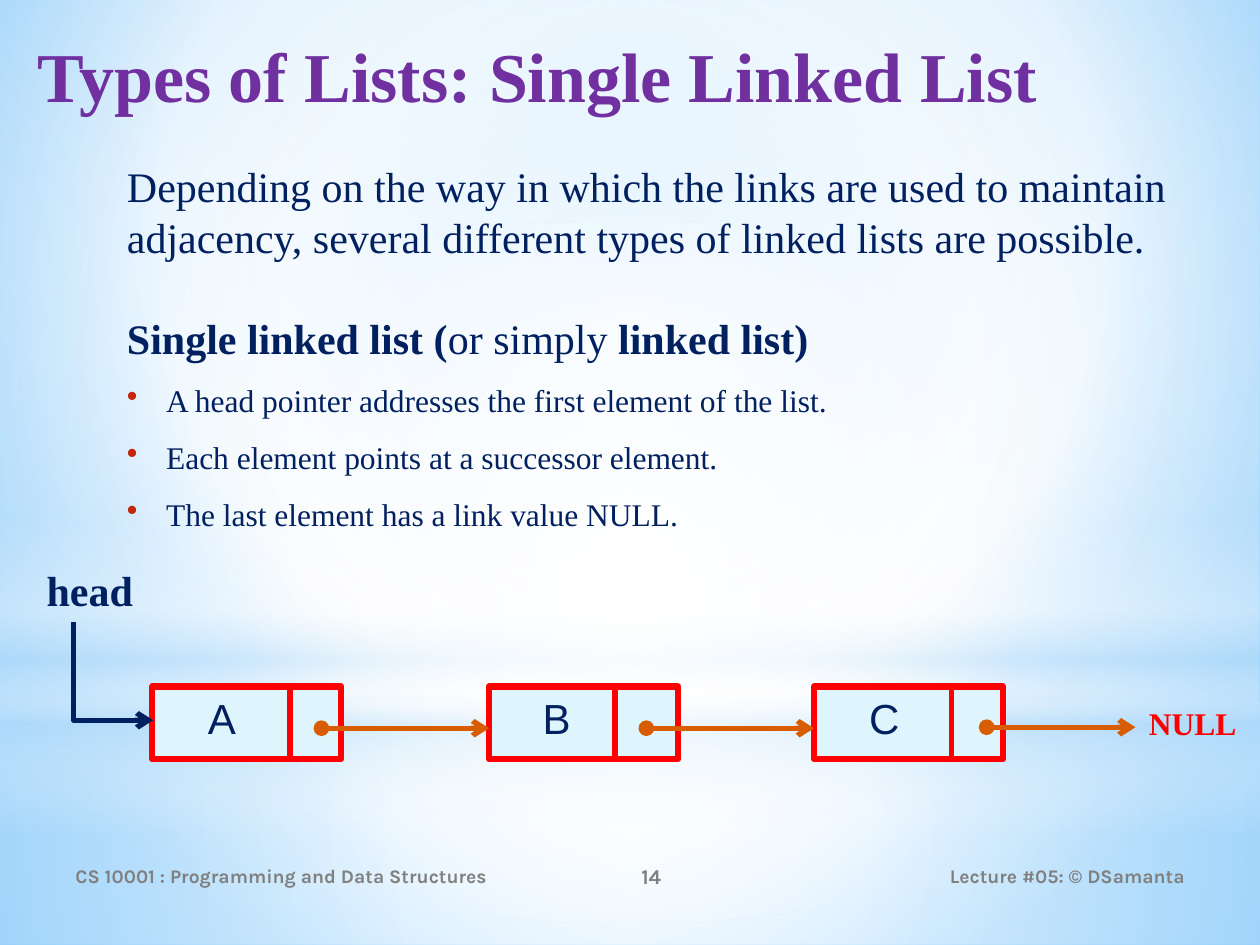
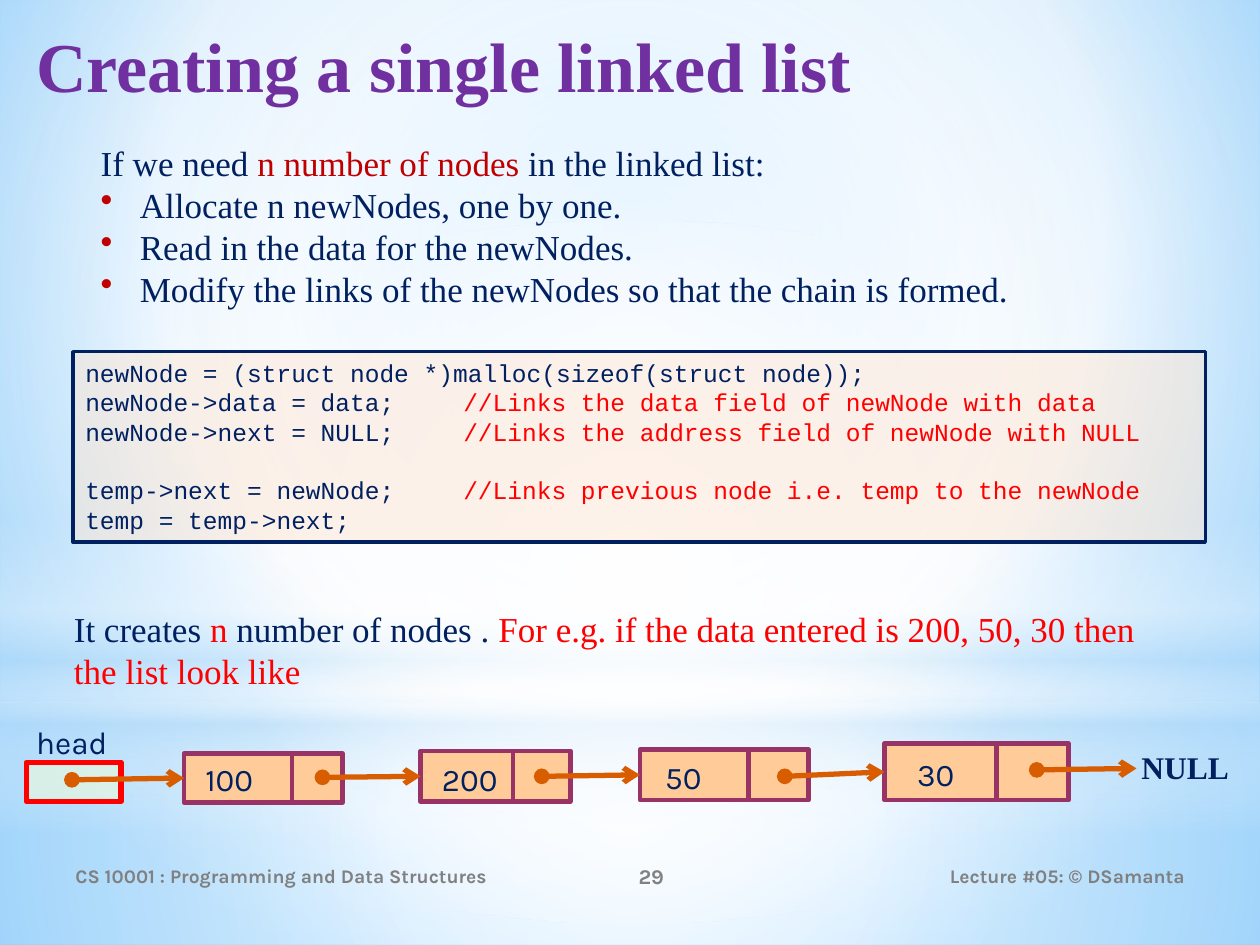
from dataclasses import dataclass
from typing import NamedTuple, Optional

from lxml import etree
from pptx import Presentation
from pptx import util as u
from pptx.dml.color import RGBColor
from pptx.enum import shapes, text
from pptx.oxml import ns


@dataclass(frozen=True)
class Theme:
    navy: str = "002060"
    purple: str = "7030A0"
    red: str = "FF0000"
    dark_red: str = "C00000"
    bullet_red: str = "C3260C"
    orange: str = "D85C00"
    grey: str = "808080"
    plum: str = "993366"
    ice: str = "DFF5FD"
    peach: str = "FFCC99"
    code_fill: str = "FFE6D3"
    head_fill: str = "EDFBDC"
    white: str = "FFFFFF"
    sky: str = "B4DCFA"
    serif: str = "Times New Roman"
    sans: str = "Arial"
    footer_font: str = "Karla"
    mono: str = "Courier New"
    title_size: int = 40
    large: int = 24
    medium: int = 20
    small: int = 18
    code_size: int = 14
    number_size: int = 12
    footer_size: int = 11


THEME = Theme()


class Box(NamedTuple):
    """A rectangle in centimetres."""
    left: float
    top: float
    width: float
    height: float

    def lengths(self) -> list:
        return [u.Cm(value) for value in self]


class Piece(NamedTuple):
    text: str
    color: str = THEME.navy
    bold: bool = False


class Stop(NamedTuple):
    position: int
    color: str
    opacity: int = 100


@dataclass(frozen=True)
class Line:
    pieces: tuple
    size: int
    font: str = THEME.serif
    bullet: Optional[str] = None
    spacing: Optional[float] = None
    before: float = 0
    tab: Optional[float] = None
    align: text.PP_ALIGN = text.PP_ALIGN.LEFT


@dataclass(frozen=True)
class Layer:
    """A translucent backdrop shape; it fades from its centre unless linear."""
    kind: shapes.MSO_SHAPE
    box: Box
    stops: tuple
    linear: bool = False


@dataclass(frozen=True)
class Node:
    label: str
    box: Box
    divider: float
    label_left: float
    label_top: float


@dataclass(frozen=True)
class NodeStyle:
    fill: str
    outline: str
    outline_width: float
    divider_width: float
    font: str
    size: int


RECTANGLE = shapes.MSO_SHAPE.RECTANGLE
BACKGROUND = (Stop(0, "9ED5FF"), Stop(60, THEME.white), Stop(100, "5BB9FF"))
LAYERS = (
    Layer(RECTANGLE, Box(0, 14.17, 25.4, 4.88),
          (Stop(0, THEME.white, 91), Stop(37, THEME.white, 76), Stop(100, THEME.sky, 79))),
    Layer(RECTANGLE, Box(0, 0, 25.4, 14.17),
          (Stop(0, THEME.white, 89), Stop(48, THEME.white, 62), Stop(100, THEME.sky, 79))),
    Layer(RECTANGLE, Box(0, 10.46, 25.4, 6.35),
          (Stop(0, THEME.white, 0), Stop(29, THEME.white, 30), Stop(45, THEME.sky, 40),
           Stop(55, THEME.white, 26), Stop(65, THEME.sky, 60), Stop(100, THEME.white, 0)), True),
    Layer(shapes.MSO_SHAPE.OVAL, Box(0, 4.45, 25.4, 14.17),
          (Stop(0, THEME.white), Stop(56, THEME.white, 0))),
)
RED_NODE = NodeStyle(THEME.ice, THEME.red, 3.5, 3.25, THEME.sans, THEME.large)
PEACH_NODE = NodeStyle(THEME.peach, THEME.plum, 2.5, 2.5, THEME.footer_font, THEME.small)


def add_element(parent, tag: str, **attributes):
    values = {name: str(value) for name, value in attributes.items()}
    return etree.SubElement(parent, ns.qn(tag), values)


def set_opacity(color_element, percent: int) -> None:
    add_element(color_element, "a:alpha", val=percent * 1000)


def replace_with_gradient(solid_fill, stops: tuple, centre=(50, 50, 50, 50), linear=False) -> None:
    gradient = etree.Element(ns.qn("a:gradFill"), rotWithShape="1")
    stop_list = add_element(gradient, "a:gsLst")
    for stop in stops:
        entry = add_element(stop_list, "a:gs", pos=stop.position * 1000)
        set_opacity(add_element(entry, "a:srgbClr", val=stop.color), stop.opacity)
    if linear:
        add_element(gradient, "a:lin", ang=90 * 60000, scaled=0)
    else:
        path = add_element(gradient, "a:path", path="circle")
        sides = {side: value * 1000 for side, value in zip("ltrb", centre)}
        add_element(path, "a:fillToRect", **sides)
    solid_fill.getparent().replace(solid_fill, gradient)


def add_filled_shape(slide, kind, box: Box, fill: str, outline=None, width=0.0, opacity=100):
    shape = slide.shapes.add_shape(kind, *box.lengths())
    shape.shadow.inherit = False
    shape.fill.solid()
    shape.fill.fore_color.rgb = RGBColor.from_string(fill)
    if opacity < 100:
        set_opacity(shape.element.xpath("./p:spPr/a:solidFill/a:srgbClr")[0], opacity)
    if outline:
        shape.line.color.rgb = RGBColor.from_string(outline)
        shape.line.width = u.Pt(width)
    else:
        shape.line.fill.background()
    return shape


def build_backdrop(slide) -> None:
    """Draw the backdrop once and move it to the master, behind its placeholders."""
    master = slide.slide_layout.slide_master
    master.background.fill.solid()
    solid_fill = master.element.xpath("./p:cSld/p:bg//a:solidFill")[0]
    replace_with_gradient(solid_fill, BACKGROUND, (20, 10, 20, 60))
    for index, layer in enumerate(LAYERS):
        shape = add_filled_shape(slide, layer.kind, layer.box, THEME.white)
        solid_fill = shape.element.xpath("./p:spPr/a:solidFill")[0]
        replace_with_gradient(solid_fill, layer.stops, linear=layer.linear)
        shape.element.xpath(".//p:cNvPr")[0].set("id", str(100 + index))
        master.shapes.element.insert(2 + index, shape.element)


def write_lines(frame, lines: tuple, anchor=text.MSO_ANCHOR.TOP) -> None:
    frame.word_wrap = True
    frame.auto_size = text.MSO_AUTO_SIZE.NONE
    frame.vertical_anchor = anchor
    for index, line in enumerate(lines):
        paragraph = frame.add_paragraph() if index else frame.paragraphs[0]
        paragraph.alignment = line.align
        properties = paragraph.element.get_or_add_pPr() if hasattr(paragraph, "element") \
            else paragraph._p.get_or_add_pPr()
        if line.bullet:
            indent = u.Cm(0.79)
            properties.set("marL", str(indent))
            properties.set("indent", str(-indent))
            add_element(add_element(properties, "a:buClr"), "a:srgbClr", val=line.bullet)
            add_element(properties, "a:buChar", char="•")
        if line.tab:
            tabs = add_element(properties, "a:tabLst")
            add_element(tabs, "a:tab", pos=u.Cm(line.tab), algn="l")
        if line.spacing:
            paragraph.line_spacing = line.spacing
        if line.before:
            paragraph.space_before = u.Pt(line.before)
        for piece in line.pieces:
            run = paragraph.add_run()
            run.text = piece.text
            run.font.name = line.font
            run.font.size = u.Pt(line.size)
            run.font.bold = piece.bold
            run.font.color.rgb = RGBColor.from_string(piece.color)


def add_text(slide, box: Box, *lines: Line, anchor=text.MSO_ANCHOR.TOP) -> None:
    write_lines(slide.shapes.add_textbox(*box.lengths()).text_frame, lines, anchor)


def add_line(slide, start: tuple, end: tuple, color: str, width: float,
             kind=shapes.MSO_CONNECTOR.STRAIGHT, head="none", tail="none"):
    points = [u.Cm(value) for value in (*start, *end)]
    connector = slide.shapes.add_connector(kind, *points)
    connector.line.color.rgb = RGBColor.from_string(color)
    connector.line.width = u.Pt(width)
    outline = connector.element.xpath("./p:spPr/a:ln")[0]
    add_element(outline, "a:headEnd", type=head)
    add_element(outline, "a:tailEnd", type=tail)
    add_element(outline.getparent(), "a:effectLst")
    return connector


def add_link(slide, start: tuple, end: tuple, target=None) -> None:
    """Draw a pointer arrow, joined to the left side of target if one is given."""
    connector = add_line(slide, start, end, THEME.orange, 3, head="oval", tail="arrow")
    if target is not None:
        connector.end_connect(target, 1)


def add_node(slide, node: Node, style: NodeStyle):
    box = node.box
    shape = add_filled_shape(slide, RECTANGLE, box, style.fill, style.outline, style.outline_width)
    add_line(slide, (node.divider, box.top), (node.divider, box.top + box.height),
             style.outline, style.divider_width)
    add_text(slide, Box(node.label_left, node.label_top, 1.7, 1.2),
             Line((Piece(node.label),), style.size, style.font))
    return shape


def add_footer(slide, number: int) -> None:
    size = THEME.footer_size
    entries = (
        (1.27, 9.32, "CS 10001 : Programming and Data Structures", size, text.PP_ALIGN.LEFT),
        (10.59, 5.08, str(number), THEME.number_size, text.PP_ALIGN.CENTER),
        (17.15, 6.99, "Lecture #05: © DSamanta", size, text.PP_ALIGN.RIGHT),
    )
    for left, width, words, points, align in entries:
        line = Line((Piece(words, THEME.grey, True),), points, THEME.footer_font, align=align)
        add_text(slide, Box(left, 17.15, width, 1.02), line, anchor=text.MSO_ANCHOR.MIDDLE)


def start_slide(presentation, title: str, box: Box, number: int):
    slide = presentation.slides.add_slide(presentation.slide_layouts[5])
    placeholder = slide.shapes.title
    placeholder.left, placeholder.top, placeholder.width, placeholder.height = box.lengths()
    write_lines(placeholder.text_frame,
                (Line((Piece(title, THEME.purple, True),), THEME.title_size),))
    add_footer(slide, number)
    return slide


def build_types_slide(presentation):
    slide = start_slide(presentation, "Types of Lists: Single Linked List",
                        Box(0.51, 0.53, 24.21, 2.79), 14)
    facts = ("A head pointer addresses the first element of the list.",
             "Each element points at a successor element.",
             "The last element has a link value NULL.")
    add_text(slide, Box(2.31, 3.12, 21.59, 9.88),
             Line((Piece("Depending on the way in which the links are used to maintain "
                         "adjacency, several different types of linked lists are possible."),),
                  THEME.large),
             Line((Piece("Single linked list (", bold=True), Piece("or simply "),
                   Piece("linked list)", bold=True)), THEME.large, before=28.8),
             *(Line((Piece(fact),), THEME.small, bullet=THEME.bullet_red, spacing=1.5)
               for fact in facts))
    top = 13.84
    for label, left, divider, label_left in (("A", 3.07, 5.84, 3.94), ("B", 9.86, 12.4, 10.69),
                                             ("C", 16.41, 19.18, 17.27)):
        add_node(slide, Node(label, Box(left, top, 3.81, 1.47), divider, label_left, top), RED_NODE)
    for start, end, level in ((6.48, 9.86, 14.68), (13.03, 16.41, 14.68), (19.89, 22.89, 14.66)):
        add_link(slide, (start, level), (end, level))
    add_text(slide, Box(22.91, 14.07, 2.39, 1.02),
             Line((Piece("NULL", THEME.red, True),), THEME.small))
    head_arrow = add_line(slide, (1.3, 12.73), (3.28, 14.33), THEME.navy, 3,
                          shapes.MSO_CONNECTOR.ELBOW, tail="arrow")
    head_arrow.element.xpath(".//a:prstGeom")[0].set("prst", "bentConnector2")
    frame = head_arrow.element.xpath(".//a:xfrm")[0]
    frame.set("rot", str(270 * 60000))
    frame.set("flipH", "1")
    add_text(slide, Box(0.69, 11.25, 2.39, 1.27),
             Line((Piece("head", bold=True),), THEME.large))
    return slide


def build_creation_slide(presentation) -> None:
    slide = start_slide(presentation, "Creating a single linked list",
                        Box(0.48, 0.33, 24.21, 2.16), 29)
    steps = ("Allocate n newNodes, one by one.", "Read in the data for the newNodes.",
             "Modify the links of the newNodes so that the chain is formed.")
    add_text(slide, Box(1.78, 2.72, 21.97, 3.68),
             Line((Piece("If we need "), Piece("n number of nodes ", THEME.dark_red),
                   Piece("in the linked list:")), THEME.medium),
             *(Line((Piece(step),), THEME.medium, bullet=THEME.dark_red) for step in steps))
    code = (
        ("newNode = (struct node *)malloc(sizeof(struct node));", "", 0),
        ("newNode->data = data; \t", "//Links the data field of newNode with data", 0),
        ("newNode->next = NULL; \t", "//Links the address field of newNode with NULL", 0),
        ("temp->next = newNode; \t", "//Links previous node i.e. temp to the newNode", 16.7),
        ("temp = temp->next;", "", 0),
    )
    code_box = add_filled_shape(slide, RECTANGLE, Box(1.47, 7.09, 22.83, 3.84),
                                THEME.code_fill, THEME.navy, 2, opacity=49)
    write_lines(code_box.text_frame, tuple(
        Line((Piece(statement),) + ((Piece(remark, THEME.red),) if remark else ()),
             THEME.code_size, THEME.mono, before=before, tab=7.62)
        for statement, remark, before in code))
    add_text(slide, Box(1.24, 12.12, 22.45, 1.96),
             Line((Piece("It creates "), Piece("n", THEME.red), Piece(" number of nodes . "),
                   Piece("For e.g. if the data entered is 200, 50, 30 then the list look like",
                         THEME.red)), THEME.medium))
    add_filled_shape(slide, RECTANGLE, Box(0.53, 15.37, 1.91, 0.79),
                     THEME.head_fill, THEME.red, 3, opacity=61)
    add_text(slide, Box(0.48, 14.45, 2.06, 0.64),
             Line((Piece("head"),), THEME.small, THEME.footer_font))
    nodes = (Node("100", Box(3.71, 15.19, 3.2, 0.99), 5.89, 3.89, 15.19),
             Node("200", Box(8.48, 15.14, 3.02, 1.02), 10.34, 8.66, 15.19),
             Node("50", Box(12.9, 15.11, 3.4, 1.02), 15.09, 13.16, 15.16),
             Node("30", Box(17.83, 14.99, 3.71, 1.14), 20.09, 18.24, 15.09))
    starts = ((1.45, 15.72), (6.5, 15.67), (10.92, 15.65), (15.82, 15.65))
    targets = [add_node(slide, node, PEACH_NODE) for node in nodes]
    for start, node, target in zip(starts, nodes, targets):
        add_link(slide, start, (node.box.left, start[1]), target)
    add_link(slide, (20.9, 15.52), (22.91, 15.49))
    add_text(slide, Box(22.76, 14.96, 2.39, 1.02),
             Line((Piece("NULL", bold=True),), THEME.small))


def main() -> None:
    presentation = Presentation()
    presentation.slide_width, presentation.slide_height = u.Cm(25.4), u.Cm(19.05)
    build_backdrop(build_types_slide(presentation))
    build_creation_slide(presentation)
    presentation.save("out.pptx")


if __name__ == "__main__":
    main()
